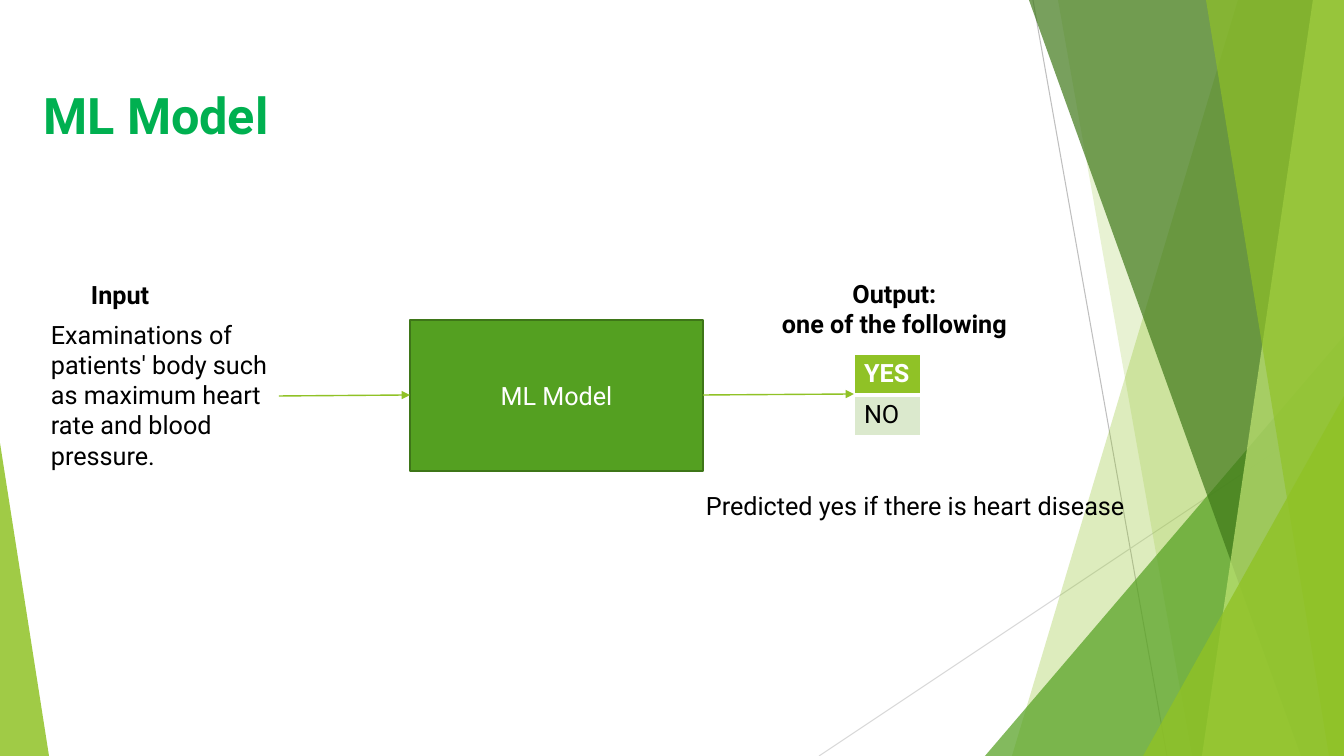
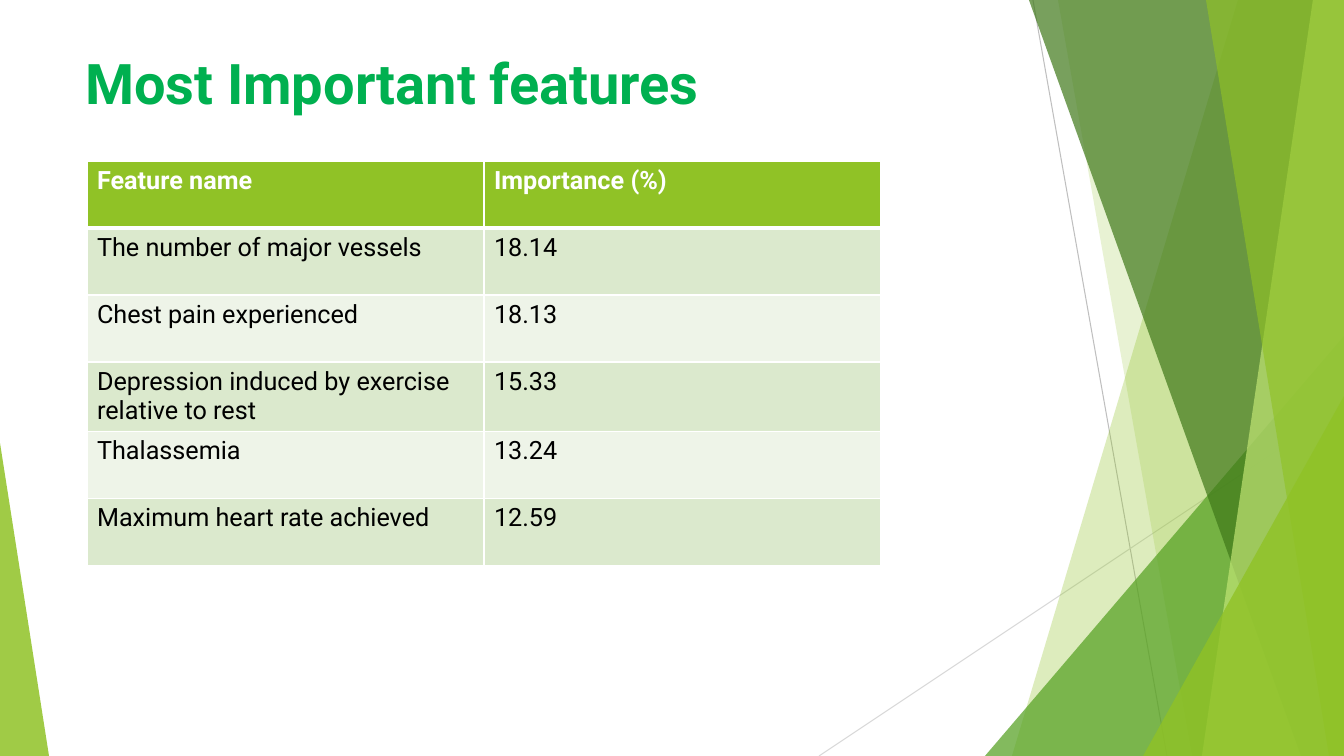
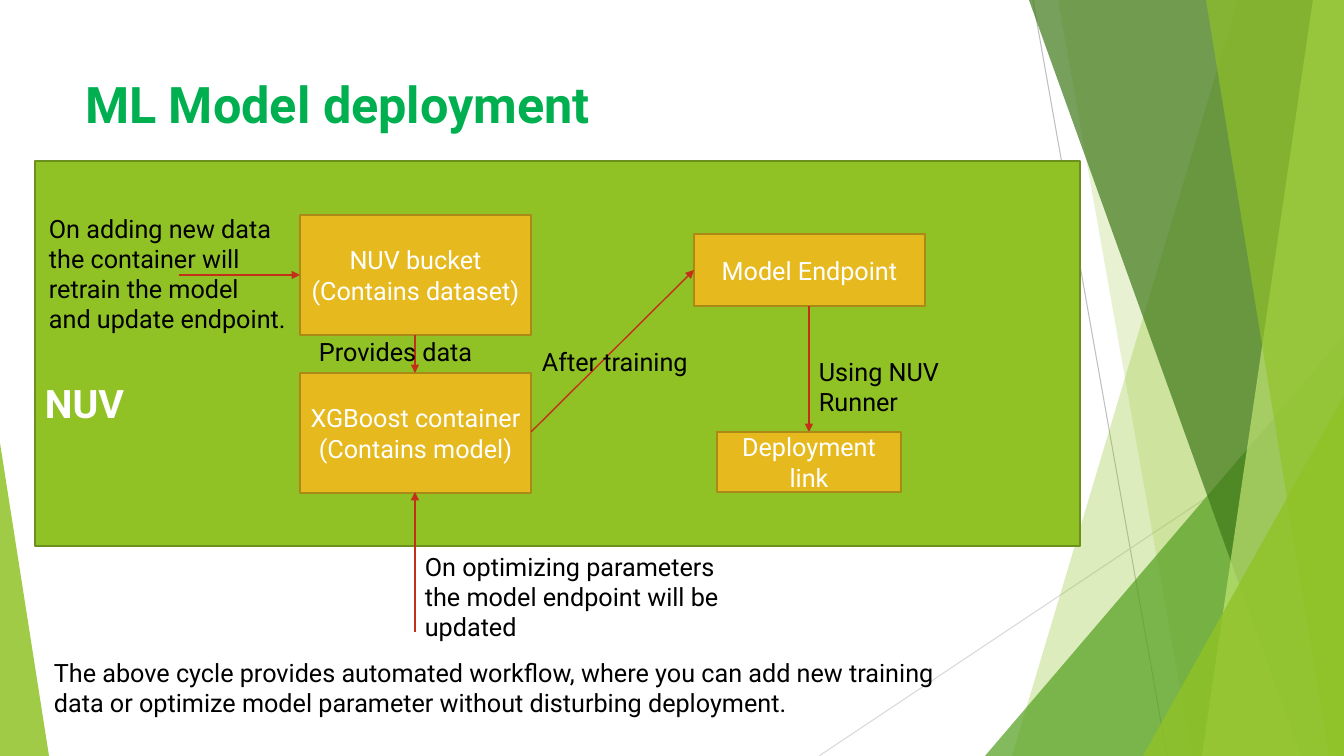
from lxml import etree
from pptx import Presentation
from pptx.dml.color import RGBColor
from pptx.enum.shapes import MSO_CONNECTOR, MSO_SHAPE
from pptx.enum.text import MSO_ANCHOR, MSO_AUTO_SIZE, PP_ALIGN
from pptx.oxml.ns import qn
from pptx.util import Pt

# Scale: one pixel in EMU
PIXEL = 914400 / 100.8
WIDTH, HEIGHT = 1344, 756

# Colours
WHITE = RGBColor(0xFF, 0xFF, 0xFF)
BLACK = RGBColor(0x00, 0x00, 0x00)
TITLE_GREEN = RGBColor(0x00, 0xB0, 0x50)
LIME = RGBColor(0x90, 0xC2, 0x26)
LIME_EDGE = RGBColor(0x6B, 0x90, 0x1C)
PALE_LIME = RGBColor(0xC0, 0xE4, 0x74)
GREEN = RGBColor(0x54, 0xA0, 0x21)
GREEN_EDGE = RGBColor(0x3E, 0x76, 0x18)
DARK_GREEN = RGBColor(0x3F, 0x78, 0x19)
GOLD = RGBColor(0xE6, 0xB9, 0x1E)
GOLD_EDGE = RGBColor(0xAA, 0x89, 0x16)
RED = RGBColor(0xC4, 0x2F, 0x1A)
GREY = RGBColor(0xBF, 0xBF, 0xBF)
LIGHT_GREY = RGBColor(0xD9, 0xD9, 0xD9)
BAND_DARK = RGBColor(0xDB, 0xE9, 0xCD)
BAND_LIGHT = RGBColor(0xEE, 0xF4, 0xE8)

# Type and enum members
FONT = "Roboto"
BODY_SIZE = 18
LEFT, CENTER = PP_ALIGN.LEFT, PP_ALIGN.CENTER
TOP, MIDDLE = MSO_ANCHOR.TOP, MSO_ANCHOR.MIDDLE
NO_AUTOFIT = MSO_AUTO_SIZE.NONE
RECTANGLE = MSO_SHAPE.RECTANGLE
TRIANGLE = MSO_SHAPE.ISOSCELES_TRIANGLE
STRAIGHT = MSO_CONNECTOR.STRAIGHT
TITLE_ONLY = 5


def px(*lengths):
    return [round(length * PIXEL) for length in lengths]


# Text
def write(frame, lines, size=BODY_SIZE, colour=BLACK, bold=False, align=LEFT):
    for index, line in enumerate(lines):
        para = frame.add_paragraph() if index else frame.paragraphs[0]
        para.alignment = align
        span = para.add_run()
        span.text = line
        font = span.font
        font.name, font.size, font.bold = FONT, Pt(size), bold
        font.color.rgb = colour


def set_title(page, text, left, top, height, size=36):
    title = page.shapes.title
    title.left, title.top, title.width, title.height = px(left, top, 948, height)
    frame = title.text_frame
    frame.auto_size = NO_AUTOFIT
    frame.vertical_anchor = TOP
    write(frame, [text], size, TITLE_GREEN, True)


def add_text(page, lines, left, top, width, height, bold=False, align=LEFT):
    box = page.shapes.add_textbox(*px(left, top, width, height))
    box.text_frame.word_wrap = True
    write(box.text_frame, lines, bold=bold, align=align)


# Shapes and lines
def paint(shape, fill, edge=None, opacity=100):
    shape.shadow.inherit = False
    shape.fill.solid()
    shape.fill.fore_color.rgb = fill
    if opacity < 100:
        colour = shape.element.spPr.find(".//" + qn("a:srgbClr"))
        etree.SubElement(colour, qn("a:alpha"), val=str(opacity * 1000))
    if edge is None:
        shape.line.fill.background()
    else:
        shape.line.color.rgb = edge
        shape.line.width = Pt(1.5)


def add_panel(page, place, fill, edge):
    panel = page.shapes.add_shape(RECTANGLE, *px(*place))
    paint(panel, fill, edge)
    panel.text_frame.word_wrap = True
    panel.text_frame.vertical_anchor = MIDDLE
    return panel


def add_node(page, lines, place, fill=GOLD, edge=GOLD_EDGE):
    node = add_panel(page, place, fill, edge)
    write(node.text_frame, lines, colour=WHITE, align=CENTER)


def add_line(page, start, end, colour, width=0.75, arrow=False):
    line = page.shapes.add_connector(STRAIGHT, *px(*start, *end))
    line.line.color.rgb = colour
    line.line.width = Pt(width)
    properties = line.element.spPr
    if arrow:
        etree.SubElement(properties.find(qn("a:ln")), qn("a:tailEnd"), type="triangle")
    etree.SubElement(properties, qn("a:effectLst"))


def add_arrow(page, start, end, colour=RED):
    add_line(page, start, end, colour, 1, True)


# Tables
def set_borders(cell, thick_sides):
    properties = cell._tc.get_or_add_tcPr()
    for side in "LRTB":
        points = 3 if side in thick_sides else 1
        border = etree.SubElement(properties, qn("a:ln" + side), w=str(Pt(points)))
        fill = etree.SubElement(border, qn("a:solidFill"))
        etree.SubElement(fill, qn("a:srgbClr"), val=str(WHITE))


def add_grid(page, rows, left, top, column_width, row_height):
    columns = len(rows[0])
    size = (column_width * columns, row_height * len(rows))
    table = page.shapes.add_table(len(rows), columns, *px(left, top, *size)).table
    for row_index, values in enumerate(rows):
        header = row_index == 0
        band = BAND_DARK if row_index % 2 else BAND_LIGHT
        thick_sides = {0: "B", 1: "T"}.get(row_index, "")
        for column_index, value in enumerate(values):
            cell = table.cell(row_index, column_index)
            set_borders(cell, thick_sides)
            cell.fill.solid()
            cell.fill.fore_color.rgb = LIME if header else band
            write(cell.text_frame, [value], colour=WHITE if header else BLACK, bold=header)


# Shared backdrop
def add_blade(page, top_x, bottom_x, colour, opacity):
    builder = page.shapes.build_freeform(top_x, 0, scale=PIXEL)
    builder.add_line_segments([(WIDTH, 0), (WIDTH, HEIGHT), (bottom_x, HEIGHT)])
    paint(builder.convert_to_shape(), colour, opacity=opacity)


def add_wedge(page, left, top, width, peak, colour, opacity):
    place = px(left, top, width, HEIGHT - top)
    wedge = page.shapes.add_shape(TRIANGLE, *place)
    wedge.adjustments[0] = peak
    paint(wedge, colour, opacity=opacity)


def draw_backdrop(page):
    add_line(page, (1033, 0), (1167, HEIGHT), GREY)
    add_line(page, (WIDTH, 406), (819, HEIGHT), LIGHT_GREY)
    add_blade(page, 1238, 1012, LIME, 30)
    add_blade(page, 1058, 1192, LIME, 20)
    add_wedge(page, 985, 336, 359, 1, GREEN, 72)
    add_blade(page, 1029, 1301, DARK_GREEN, 70)
    add_blade(page, 1313, 1202, PALE_LIME, 70)
    add_blade(page, 1206, 1329, LIME, 65)
    add_wedge(page, 1143, 396, 201, 1, LIME, 80)
    add_wedge(page, 0, 443, 49, 0, LIME, 85)


def move_backdrop(page, layout):
    """Keep only the layout's title and give it the shapes drawn on the page."""
    for holder in list(layout.placeholders):
        if holder.placeholder_format.idx != 0:
            holder.element.getparent().remove(holder.element)
    for shape in list(page.shapes):
        if not shape.is_placeholder:
            layout.shapes.element.append(shape.element)


# Slides
def build_model(page):
    set_title(page, "ML Model", 33, 79, 109)
    add_text(page, ["Examinations of", "patients' body such", "as maximum heart",
                    "rate and blood", "pressure."], 41, 314, 242, 163)
    add_node(page, ["ML Model"], (410, 320, 293, 151), GREEN, GREEN_EDGE)
    add_grid(page, [["YES"], ["NO"]], 854, 354, 67, 41)
    add_arrow(page, (279, 396), (410, 395), LIME)
    add_arrow(page, (703, 395), (854, 394), LIME)
    add_text(page, ["Input"], 81, 274, 83, 40, bold=True)
    add_text(page, ["Output:", "one of the following"], 765, 273, 259, 72, True, CENTER)
    add_text(page, ["Predicted yes if there is heart disease"], 696, 485, 453, 40)


def build_features(page):
    set_title(page, "Most Important features", 75, 43, 145, 40)
    features = [
        ("Feature name", "Importance (%)"),
        ("The number of major vessels", "18.14"),
        ("Chest pain experienced", "18.13"),
        ("Depression induced by exercise relative to rest", "15.33"),
        ("Thalassemia", "13.24"),
        ("Maximum heart rate achieved", "12.59"),
    ]
    add_grid(page, features, 87, 161, 397, 67)


def build_deployment(page):
    set_title(page, "ML Model deployment", 75, 68, 145)
    cloud = add_panel(page, (35, 161, 1045, 385), LIME, LIME_EDGE)
    cloud.text_frame.margin_top = px(103)[0]
    write(cloud.text_frame, ["NUV"], 28, WHITE, True)

    add_node(page, ["NUV bucket", "(Contains dataset)"], (300, 215, 231, 120))
    add_node(page, ["XGBoost container", "(Contains model)"], (300, 373, 231, 120))
    add_arrow(page, (415, 335), (415, 373))
    add_node(page, ["Model Endpoint"], (694, 234, 231, 72))
    add_arrow(page, (531, 432), (694, 270))
    add_text(page, ["After training"], 532, 341, 182, 40)
    add_arrow(page, (809, 306), (809, 432))
    add_node(page, ["Deployment link"], (717, 432, 184, 60))
    add_text(page, ["Using NUV", "Runner"], 809, 351, 231, 71)
    add_arrow(page, (179, 275), (300, 275))
    add_text(page, ["On adding new data", "the container will", "retrain the model",
                    "and update endpoint."], 39, 208, 286, 132)
    add_arrow(page, (415, 632), (415, 492))
    add_text(page, ["On optimizing parameters", "the model endpoint will be",
                    "updated"], 415, 546, 337, 102)
    add_text(page, ["Provides data"], 309, 331, 179, 40)
    add_text(page, ["The above cycle provides automated workflow, "
                    "where you can add new training",
                    "data or optimize model parameter without disturbing deployment."],
             44, 652, 932, 72)


def main():
    deck = Presentation()
    deck.slide_width, deck.slide_height = px(WIDTH, HEIGHT)
    layout = deck.slide_layouts[TITLE_ONLY]
    builders = (build_model, build_features, build_deployment)
    pages = [deck.slides.add_slide(layout) for _ in builders]
    draw_backdrop(pages[0])
    move_backdrop(pages[0], layout)
    for build, page in zip(builders, pages):
        build(page)
    deck.save("out.pptx")


main()
